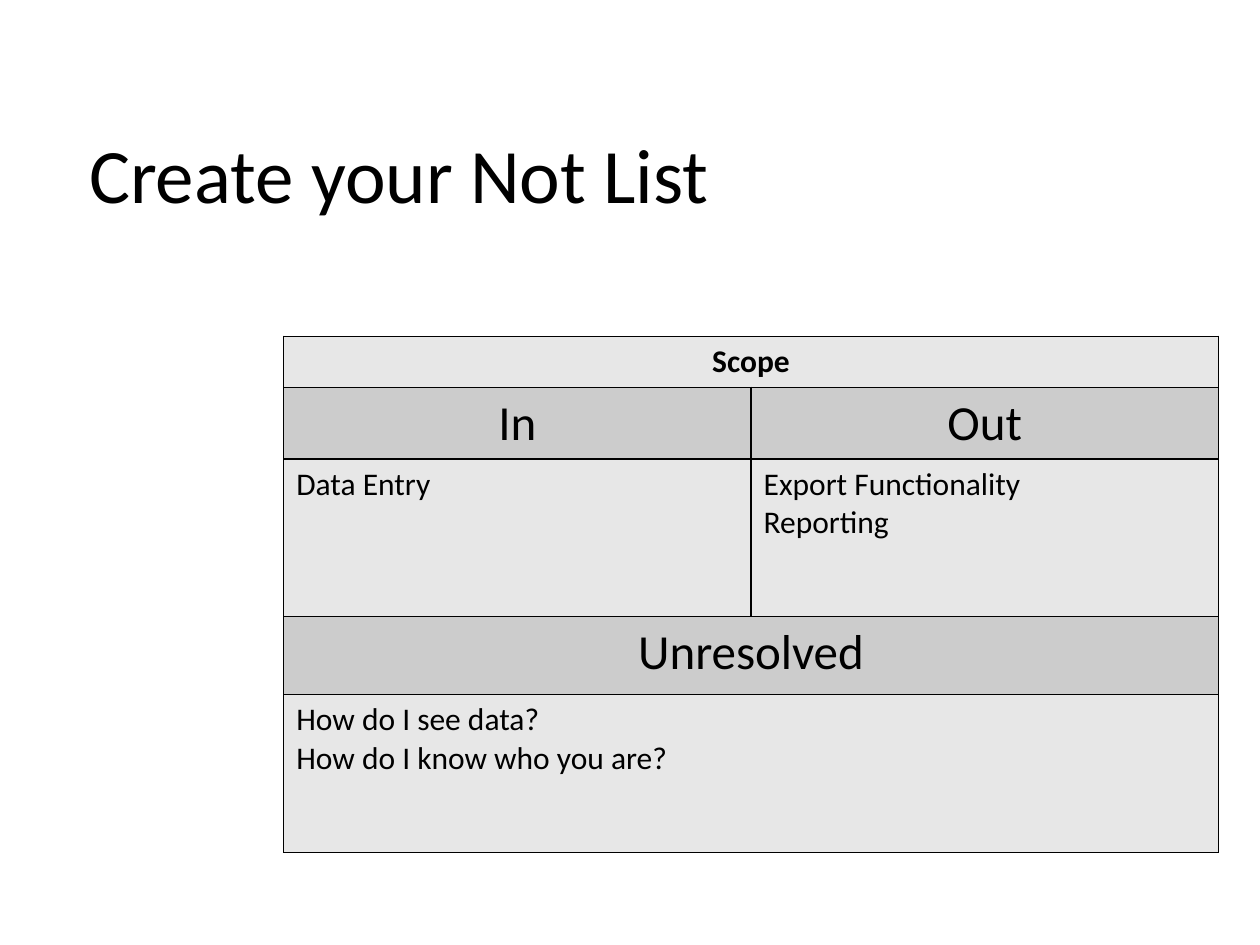
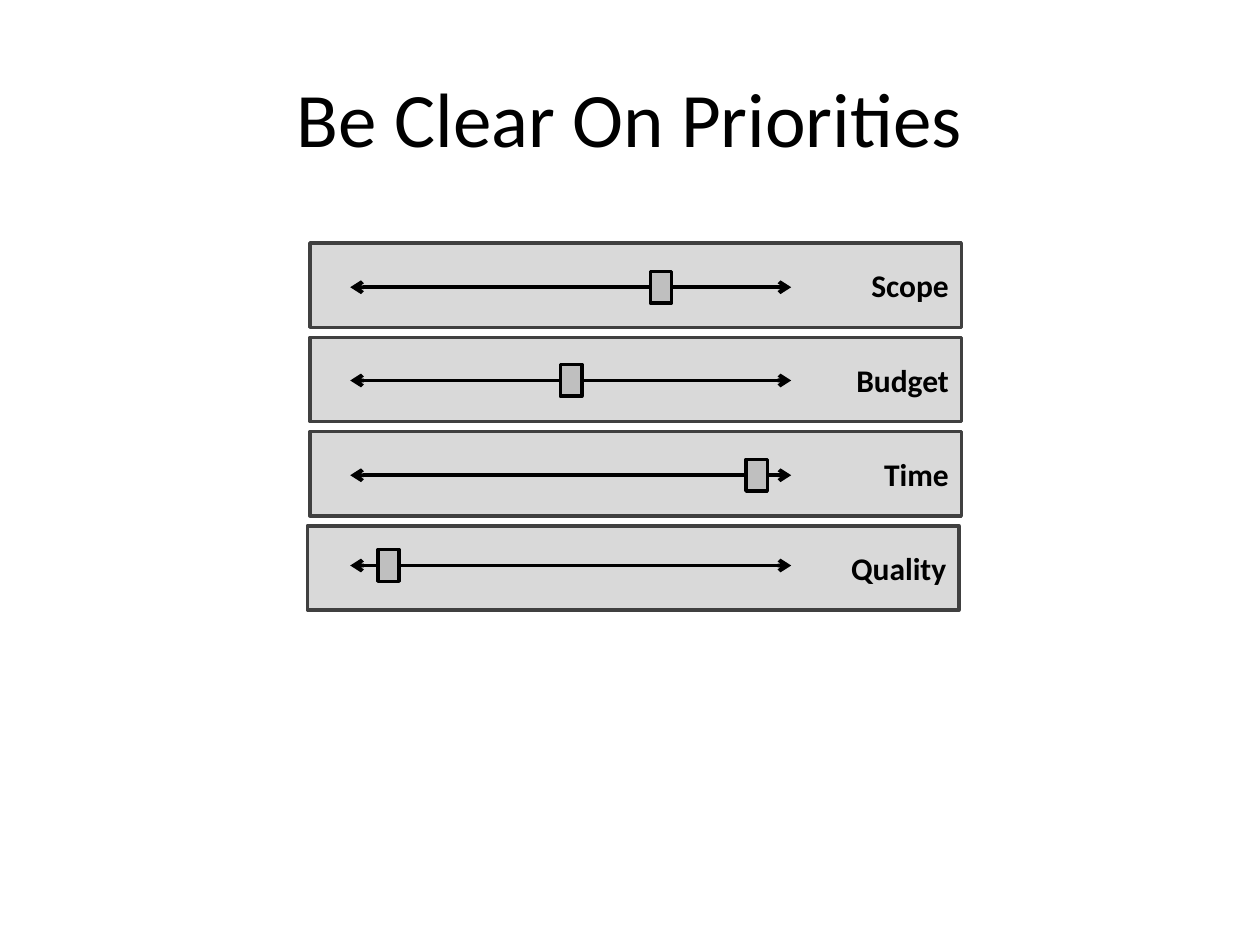
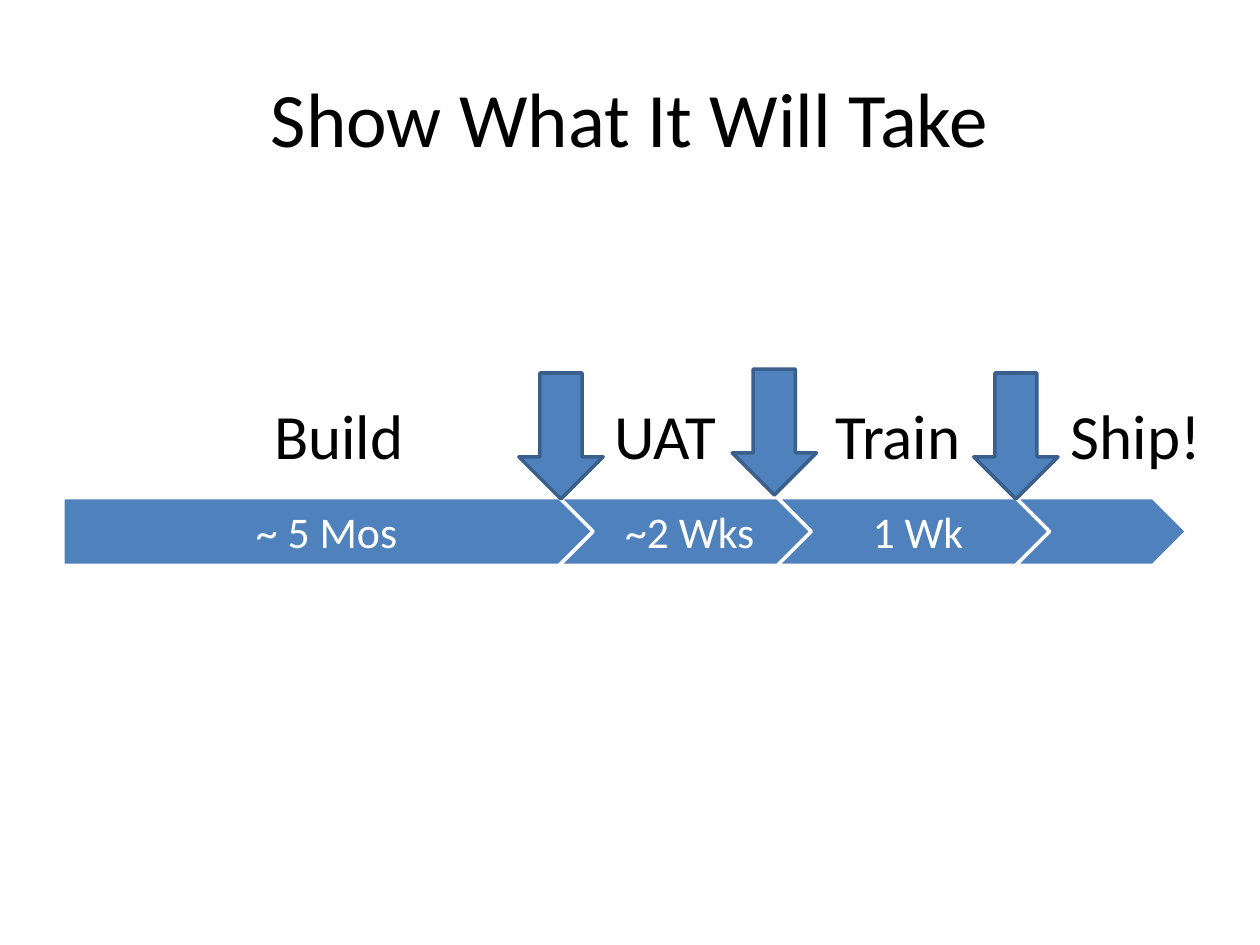
from dataclasses import dataclass

from lxml.etree import SubElement
from pptx import Presentation
from pptx.dml.color import RGBColor as RGB
from pptx.enum.shapes import MSO_CONNECTOR as Connector, MSO_SHAPE as Shape
from pptx.enum.text import MSO_ANCHOR as Anchor, MSO_AUTO_SIZE as AutoSize, PP_ALIGN as Align
from pptx.oxml.ns import qn
from pptx.util import Cm, Pt


@dataclass(frozen=True)
class Theme:
    font: str = "Calibri"
    ink: str = "000000"
    paper: str = "FFFFFF"
    blue: str = "4F81BD"
    blue_edge: str = "3A5F8C"
    heading_fill: str = "CCCCCC"
    body_fill: str = "E7E7E7"
    band_fill: str = "D9D9D9"
    band_edge: str = "404040"
    knob_fill: str = "BFBFBF"
    title_size: int = 44
    label_size: int = 36
    heading_size: int = 28
    step_size: int = 25
    body_size: int = 18


theme = Theme()


def write(frame, text, size, color=theme.ink, bold=False, align=Align.LEFT, **frame_format):
    """Fill a text frame, one paragraph per line of text."""
    for name, value in frame_format.items():
        setattr(frame, name, value)
    frame.text = text
    font_format = {"name": theme.font, "size": Pt(size), "bold": bold}
    for paragraph in frame.paragraphs:
        paragraph.alignment = align
        font = paragraph.runs[0].font
        for name, value in font_format.items():
            setattr(font, name, value)
        font.color.rgb = RGB.from_string(color)


def draw(slide, kind, box, fill, edge):
    """Add a filled preset shape; box is left, top, width, height in cm."""
    shape = slide.shapes.add_shape(kind, *map(Cm, box))
    shape.shadow.inherit = False
    shape.fill.solid()
    shape.fill.fore_color.rgb = RGB.from_string(fill)
    shape.line.color.rgb = RGB.from_string(edge)
    shape.line.width = Pt(2)
    return shape


prs = Presentation()
prs.slide_width, prs.slide_height = Cm(25.4), Cm(19.05)

# Titled slides
titles = [
    ("Create your Not List", -3.38, 1.9),
    ("Be Clear On Priorities", 1.27, 0.76),
    ("Show What It Will Take", 1.27, 0.76),
]
slides = []
for title, left, top in titles:
    slide = prs.slides.add_slide(prs.slide_layouts[6])
    heading = slide.shapes.add_textbox(Cm(left), Cm(top), Cm(22.86), Cm(3.18))
    write(heading.text_frame, title, theme.title_size, align=Align.CENTER,
          word_wrap=True, vertical_anchor=Anchor.MIDDLE)
    slides.append(slide)
not_list, priorities, timeline = slides

# Not list: scope table, where a single text spans both columns
body = {"size": theme.body_size}
heading = {"size": theme.heading_size, "align": Align.CENTER}
scope_rows = [
    (1.03, theme.body_fill, body | {"bold": True, "align": Align.CENTER}, ["Scope"]),
    (1.32, theme.heading_fill, heading, ["In", "Out"]),
    (3.18, theme.body_fill, body, ["Data Entry", "Export Functionality\nReporting"]),
    (1.57, theme.heading_fill, heading, ["Unresolved"]),
    (3.18, theme.body_fill, body, ["How do I see data?\nHow do I know who you are?"]),
]
scope_height = sum(row[0] for row in scope_rows)
scope = not_list.shapes.add_table(len(scope_rows), 2, Cm(5.72), Cm(6.78),
                                  Cm(18.84), Cm(scope_height)).table
for name in ("first_row", "horz_banding"):
    setattr(scope, name, False)
for r, (height, fill, text_format, texts) in enumerate(scope_rows):
    scope.rows[r].height = Cm(height)
    if len(texts) == 1:
        scope.cell(r, 0).merge(scope.cell(r, 1))
    for c, text in enumerate(texts):
        write(scope.cell(r, c).text_frame, text, **text_format)
    for cell in scope.rows[r].cells:
        properties = cell._tc.get_or_add_tcPr()
        for side in ("a:lnL", "a:lnR", "a:lnT", "a:lnB"):
            border = SubElement(properties, qn(side), w=str(Pt(1)))
            SubElement(SubElement(border, qn("a:solidFill")), qn("a:srgbClr"), val=theme.ink)
        cell.fill.solid()
        cell.fill.fore_color.rgb = RGB.from_string(fill)

# Priorities: one slider per row (name, band left, axis below band top, knob left)
sliders = [
    ("Scope", 6.25, 0.89, 13.11),
    ("Budget", 6.25, 0.87, 11.3),
    ("Time", 6.25, 0.88, 15.04),
    ("Quality", 6.2, 0.8, 7.62),
]
for i, (name, band_left, axis_drop, knob_left) in enumerate(sliders):
    band_top = 4.9 + 1.9 * i
    axis_y = band_top + axis_drop
    band = draw(priorities, Shape.RECTANGLE, (band_left, band_top, 13.13, 1.7),
                theme.band_fill, theme.band_edge)
    write(band.text_frame, name, theme.body_size, bold=True, align=Align.RIGHT,
          vertical_anchor=Anchor.MIDDLE)
    axis = priorities.shapes.add_connector(Connector.STRAIGHT, Cm(7.06), Cm(axis_y),
                                           Cm(15.95), Cm(axis_y))
    axis.line.color.rgb = RGB.from_string(theme.ink)
    axis.line.width = Pt(2.25)
    for end in ("a:headEnd", "a:tailEnd"):
        SubElement(axis.line._get_or_add_ln(), qn(end), type="arrow")
    SubElement(axis._element.spPr, qn("a:effectLst"))
    draw(priorities, Shape.RECTANGLE, (knob_left, axis_y - 0.32, 0.43, 0.64),
         theme.knob_fill, theme.ink)

# Timeline: each step starts where the point of the one before begins
steps = [
    (Shape.PENTAGON, 10.69, "~ 5 Mos", 0.38),
    (Shape.CHEVRON, 5.08, "~2 Wks", 0.28),
    (Shape.CHEVRON, 5.49, "1 Wk", 0.28),
    (Shape.CHEVRON, 3.45, "", 0),
]
step_left, step_height = 1.27, 1.37
for kind, width, duration, inset in steps:
    step = draw(timeline, kind, (step_left, 10.03, width, step_height), theme.blue, theme.paper)
    if duration:
        write(step.text_frame, duration, theme.step_size, theme.paper, align=Align.CENTER,
              vertical_anchor=Anchor.MIDDLE, margin_left=Cm(inset), margin_right=Cm(0.1),
              margin_top=Cm(0.18), margin_bottom=Cm(0.18))
    step_left += width - step_height / 2

# Timeline: stage names and the arrows between them
stages = [("Build", 5.28, 3.15), ("UAT", 12.14, 2.57), ("Train", 16.59, 3.05), ("Ship!", 21.34, 3.15)]
for name, left, width in stages:
    stage = timeline.shapes.add_textbox(Cm(left), Cm(7.87), Cm(width), Cm(1.8))
    write(stage.text_frame, name, theme.label_size, word_wrap=False,
          auto_size=AutoSize.SHAPE_TO_FIT_TEXT)
for left, top in [(10.46, 7.52), (14.76, 7.44), (19.63, 7.52)]:
    draw(timeline, Shape.DOWN_ARROW, (left, top, 1.7, 2.54), theme.blue, theme.blue_edge)

prs.save("out.pptx")
